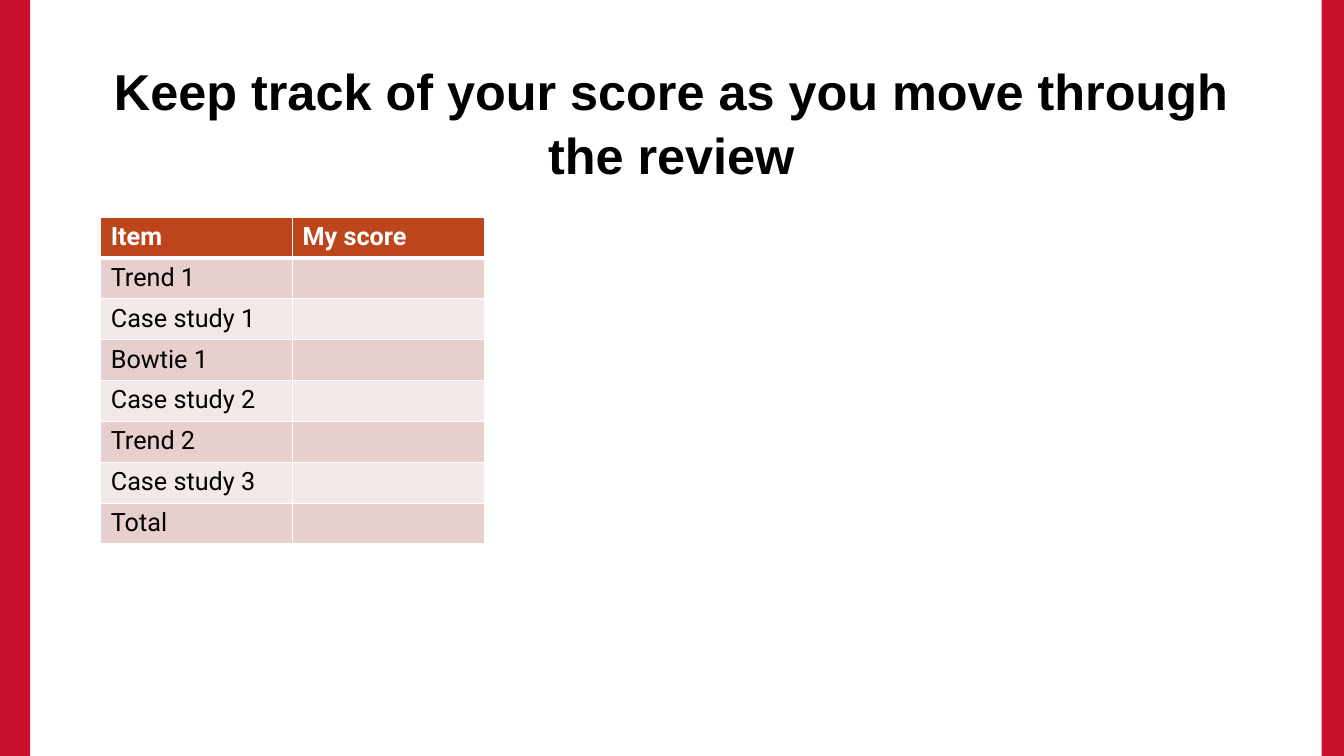
from dataclasses import dataclass

from lxml import etree
from pptx import Presentation
from pptx.dml.color import RGBColor
from pptx.enum.shapes import MSO_SHAPE
from pptx.enum.text import MSO_ANCHOR, PP_ALIGN
from pptx.oxml.ns import qn
from pptx.slide import Slide
from pptx.table import _Cell
from pptx.util import Cm, Pt

RECT = MSO_SHAPE.RECTANGLE
MIDDLE = MSO_ANCHOR.MIDDLE
CENTER = PP_ALIGN.CENTER

COLORS = {
    "red": "C8102E",
    "rust": "BC451B",
    "rose": "E7CFCD",
    "blush": "F3E9E8",
    "white": "FFFFFF",
    "black": "000000",
}
WIDE, HIGH = 33.86, 19.05
COL, ROW = 4.83, 1.03
TITLE = "Keep track of your score as you move through the review"
HEADS = ("Item", "My score")
ITEMS = (
    "Trend 1",
    "Case study 1",
    "Bowtie 1",
    "Case study 2",
    "Trend 2",
    "Case study 3",
    "Total",
)


@dataclass
class Bar:
    left: float
    width: float


@dataclass
class Look:
    fill: str
    ink: str
    bold: bool
    base: float


BARS = (Bar(0, 0.76), Bar(WIDE - 0.56, 0.56))
HEAD = Look("rust", "white", True, 3)
BANDS = (Look("rose", "black", False, 1), Look("blush", "black", False, 1))


def color(name: str) -> RGBColor:
    return RGBColor.from_string(COLORS[name])


def draw_bar(slide: Slide, bar: Bar) -> None:
    shape = slide.shapes.add_shape(RECT, Cm(bar.left), 0, Cm(bar.width), Cm(HIGH))
    shape.shadow.inherit = False
    shape.fill.solid()
    shape.fill.fore_color.rgb = color("red")
    shape.line.fill.background()


def draw_title(slide: Slide) -> None:
    box = slide.shapes.add_textbox(Cm(2.54), Cm(1.7), Cm(28.75), Cm(2.69))
    frame = box.text_frame
    frame.word_wrap = True
    frame.vertical_anchor = MIDDLE
    para = frame.paragraphs[0]
    para.text = TITLE
    para.alignment = CENTER
    para.line_spacing = 1.05
    font = para.font
    font.name, font.size, font.bold = "Arial", Pt(36), True
    font.color.rgb = color("black")


def add_edges(cell: _Cell, top: float, base: float) -> None:
    props = cell._tc.get_or_add_tcPr()
    for side, width in (("L", 1), ("R", 1), ("T", top), ("B", base)):
        edge = etree.SubElement(props, qn(f"a:ln{side}"), w=str(Pt(width)))
        fill = etree.SubElement(edge, qn("a:solidFill"))
        etree.SubElement(fill, qn("a:srgbClr"), val=COLORS["white"])


def draw_cell(cell: _Cell, text: str, look: Look, top: float) -> None:
    add_edges(cell, top, look.base)
    cell.fill.solid()
    cell.fill.fore_color.rgb = color(look.fill)
    para = cell.text_frame.paragraphs[0]
    if text:
        para.text = text
    font = para.font
    font.name, font.size, font.bold = "Roboto", Pt(18), look.bold
    font.color.rgb = color(look.ink)


def draw_table(slide: Slide) -> None:
    rows = [HEADS] + [(item, "") for item in ITEMS]
    count = len(rows)
    frame = slide.shapes.add_table(
        count, len(HEADS), Cm(2.54), Cm(5.47), Cm(COL * len(HEADS)), Cm(ROW * count)
    )
    table = frame.table
    for col in table.columns:
        col.width = Cm(COL)
    top = 1
    for i, texts in enumerate(rows):
        table.rows[i].height = Cm(ROW)
        look = BANDS[(i - 1) % 2] if i else HEAD
        for j, text in enumerate(texts):
            draw_cell(table.cell(i, j), text, look, top)
        top = look.base


def main() -> None:
    deck = Presentation()
    deck.slide_width, deck.slide_height = Cm(WIDE), Cm(HIGH)
    slide = deck.slides.add_slide(deck.slide_layouts[6])
    for bar in BARS:
        draw_bar(slide, bar)
    draw_title(slide)
    draw_table(slide)
    deck.save("out.pptx")


if __name__ == "__main__":
    main()
